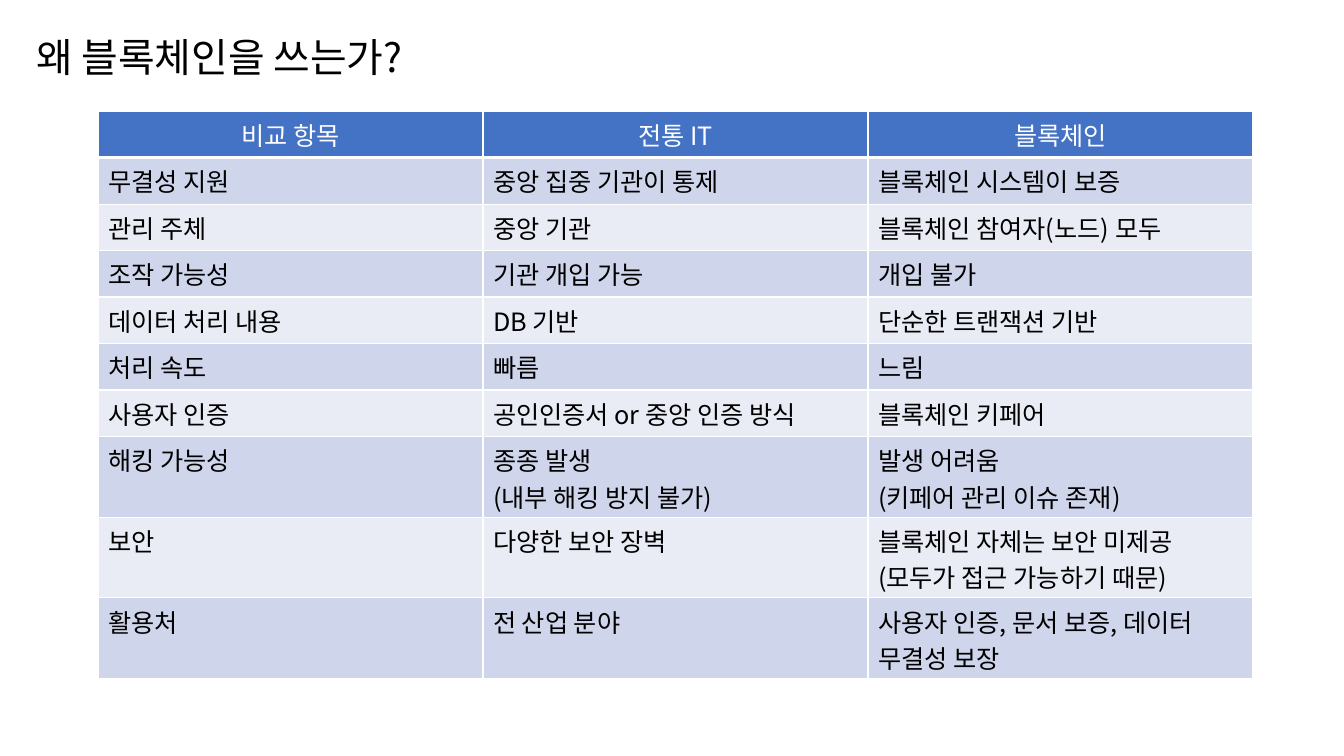
from lxml.etree import SubElement
from pptx import Presentation
from pptx.dml.color import RGBColor
from pptx.enum.text import MSO_ANCHOR, PP_ALIGN
from pptx.oxml.ns import qn
from pptx.util import Pt

FONT = "Noto Sans CJK KR"
BLACK = RGBColor(0x00, 0x00, 0x00)
WHITE = RGBColor(0xFF, 0xFF, 0xFF)
HEADER = RGBColor(0x44, 0x72, 0xC4)
BANDS = [RGBColor(0xE9, 0xEB, 0xF5), RGBColor(0xCF, 0xD5, 0xEA)]

ROWS = [
    ("비교 항목", "전통 IT", "블록체인"),
    ("무결성 지원", "중앙 집중 기관이 통제", "블록체인 시스템이 보증"),
    ("관리 주체", "중앙 기관", "블록체인 참여자(노드) 모두"),
    ("조작 가능성", "기관 개입 가능", "개입 불가"),
    ("데이터 처리 내용", "DB 기반", "단순한 트랜잭션 기반"),
    ("처리 속도", "빠름", "느림"),
    ("사용자 인증", "공인인증서 or 중앙 인증 방식", "블록체인 키페어"),
    ("해킹 가능성", "종종 발생\n(내부 해킹 방지 불가)",
     "발생 어려움\n(키페어 관리 이슈 존재)"),
    ("보안", "다양한 보안 장벽",
     "블록체인 자체는 보안 미제공\n(모두가 접근 가능하기 때문)"),
    ("활용처", "전 산업 분야", "사용자 인증, 문서 보증, 데이터 무결성 보장"),
]
ROW_HEIGHTS = [33.2] * 7 + [57.6] * 3


def style_text(tf, size, color, align=PP_ALIGN.LEFT):
    """Format every run of a text frame."""
    for p in tf.paragraphs:
        p.alignment = align
        for r in p.runs:
            r.font.size = Pt(size)
            r.font.name = FONT
            r.font.color.rgb = color
            SubElement(r.font._element, qn("a:ea"), typeface=FONT)


def add_title(s, text):
    """Add the slide title."""
    sp = s.shapes.add_textbox(Pt(18.7), Pt(28), Pt(821), Pt(32.4))
    tf = sp.text_frame
    tf.word_wrap = True
    tf.vertical_anchor = MSO_ANCHOR.BOTTOM
    tf.text = text
    tf.paragraphs[0].line_spacing = 0.7
    style_text(tf, 28.5, BLACK)


def set_borders(cell, bottom):
    """Draw white cell borders, with the given bottom width."""
    tcPr = cell._tc.get_or_add_tcPr()
    for side, width in zip("LRTB", (1, 1, 1, bottom)):
        ln = SubElement(tcPr, qn(f"a:ln{side}"), w=str(Pt(width)))
        fill = SubElement(ln, qn("a:solidFill"))
        SubElement(fill, qn("a:srgbClr"), val=str(WHITE))


def fill_cell(cell, text, row):
    """Write and format one table cell."""
    header = row == 0
    set_borders(cell, 3 if header else 1)
    cell.fill.solid()
    cell.fill.fore_color.rgb = HEADER if header else BANDS[row % 2]
    cell.text_frame.text = text
    style_text(cell.text_frame, 18, WHITE if header else BLACK,
               PP_ALIGN.CENTER if header else PP_ALIGN.LEFT)


def add_comparison(s):
    """Add the comparison table."""
    shape = s.shapes.add_table(len(ROWS), len(ROWS[0]), Pt(70), Pt(79.4),
                               Pt(825), Pt(sum(ROW_HEIGHTS)))
    table = shape.table
    for column in table.columns:
        column.width = Pt(275)
    for i, (texts, height) in enumerate(zip(ROWS, ROW_HEIGHTS)):
        table.rows[i].height = Pt(height)
        for j, text in enumerate(texts):
            fill_cell(table.cell(i, j), text, i)


def main():
    """Build and save the slide."""
    prs = Presentation()
    prs.slide_width, prs.slide_height = Pt(960), Pt(540)
    s = prs.slides.add_slide(prs.slide_layouts[6])
    add_title(s, "왜 블록체인을 쓰는가?")
    add_comparison(s)
    prs.save("out.pptx")


if __name__ == "__main__":
    main()
